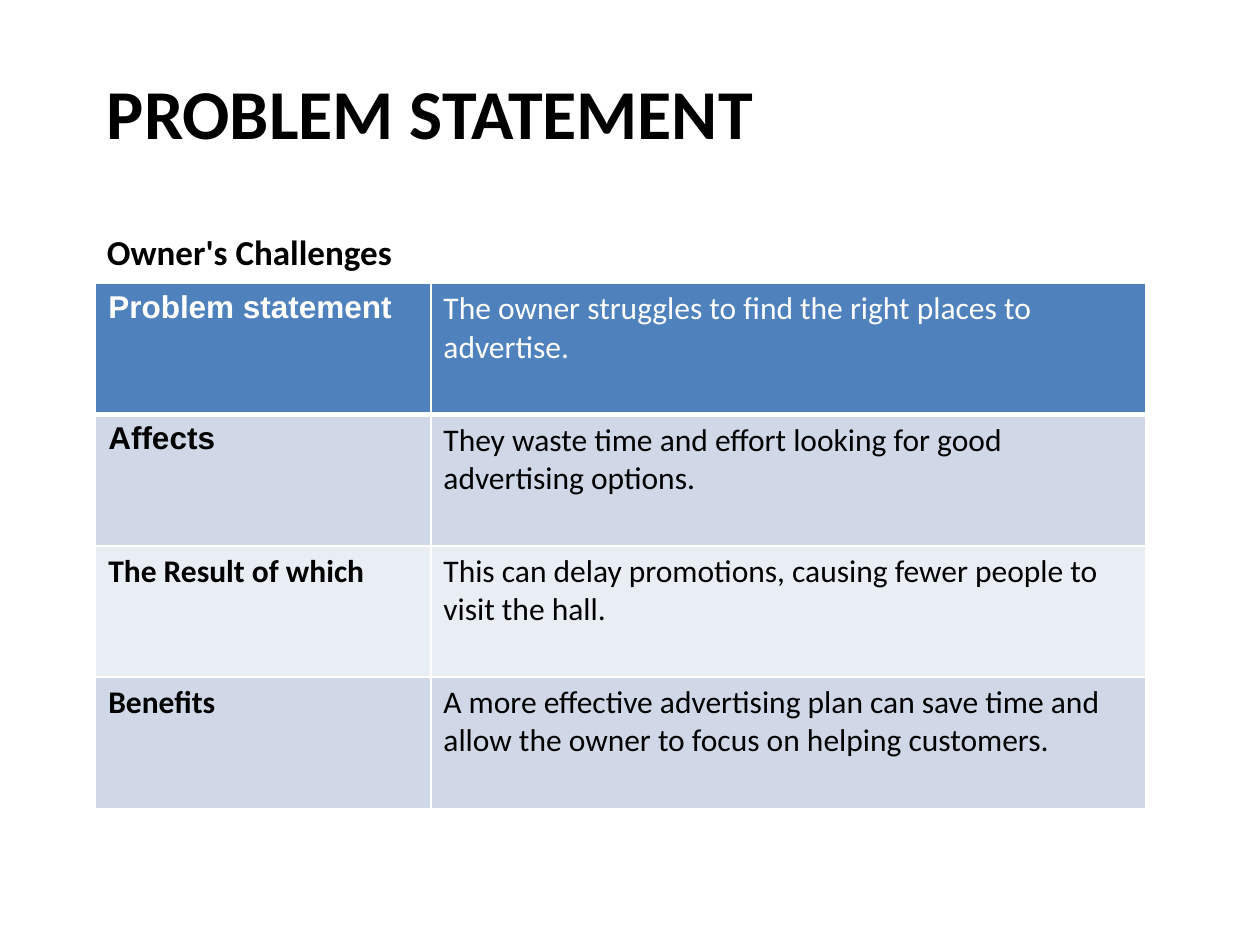
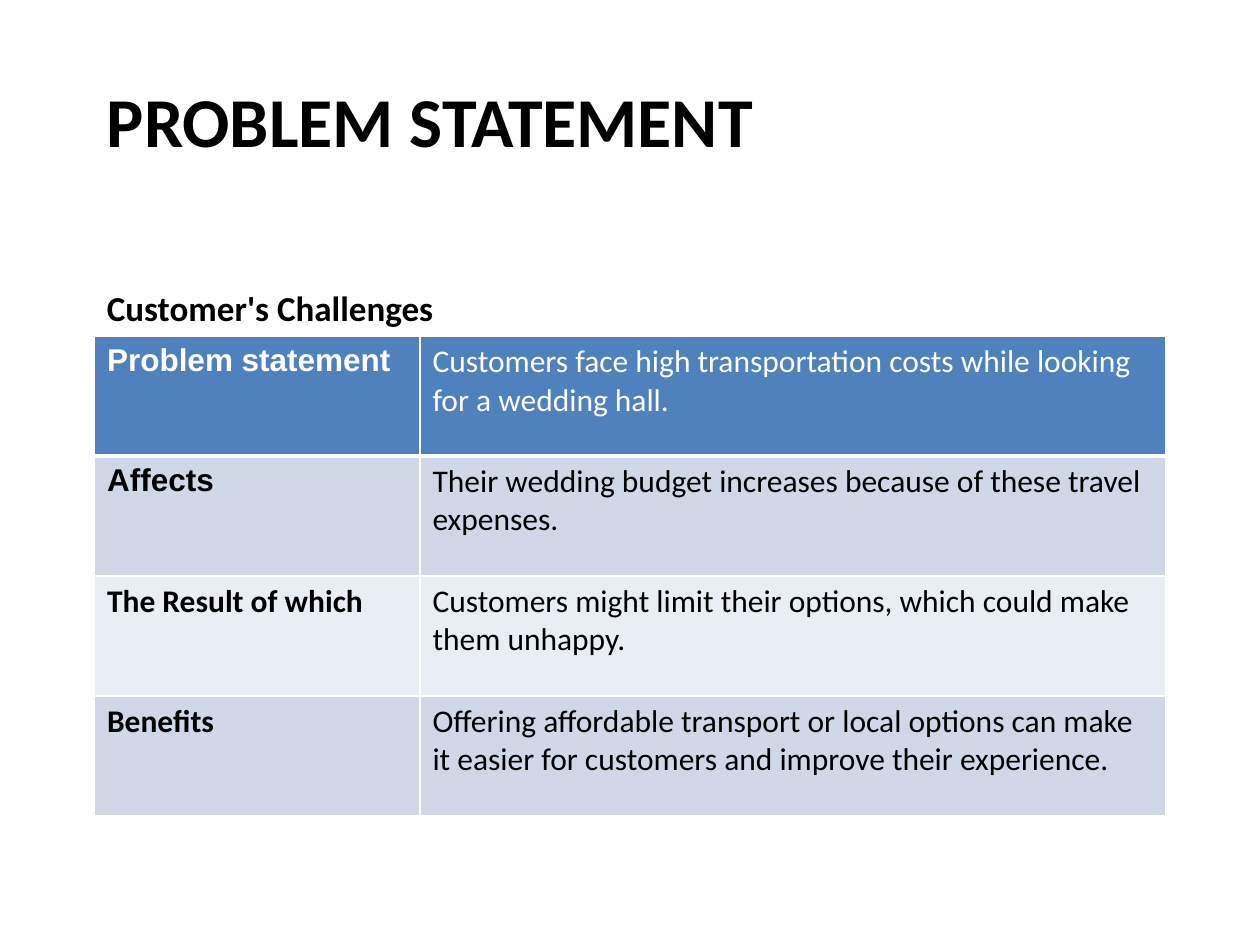
from lxml.etree import SubElement
from pptx import Presentation
from pptx.dml.color import RGBColor
from pptx.oxml.ns import qn
from pptx.util import Pt

# Shared look
BLACK, WHITE = "000000", "FFFFFF"
HEADER_FILL, BAND_FILLS = "4F81BD", ("D0D8E8", "E9EDF4")
HEADING_FONT, LABEL_FONT = "Calibri", "Arial"
LEFT, HEADING_WIDTH = 54, 612
THIN, THICK = 1, 3
LABELS = [
    ("Problem statement", LABEL_FONT),
    ("Affects", LABEL_FONT),
    ("The Result of which", HEADING_FONT),
    ("Benefits", HEADING_FONT),
]


def rgb(hex_color):
    return RGBColor.from_string(hex_color)


def add_run(paragraph, text, size, color=BLACK, font=HEADING_FONT, bold=False):
    run = paragraph.add_run()
    run.text = text
    run.font.name = font
    run.font.size = Pt(size)
    run.font.bold = bold
    run.font.color.rgb = rgb(color)


def add_heading(slide, text, top, height, size):
    heading = slide.shapes.add_textbox(Pt(LEFT), Pt(top), Pt(HEADING_WIDTH), Pt(height))
    heading.text_frame.word_wrap = True
    add_run(heading.text_frame.paragraphs[0], text, size, bold=True)


def set_borders(cell, top, bottom):
    properties = cell._tc.get_or_add_tcPr()
    widths = {"a:lnL": THIN, "a:lnR": THIN, "a:lnT": top, "a:lnB": bottom}
    for side, width in widths.items():
        line = SubElement(properties, qn(side), w=str(Pt(width)))
        SubElement(SubElement(line, qn("a:solidFill")), qn("a:srgbClr"), val=WHITE)


def add_challenge_table(slide, answers, left, top, column_widths, row_height):
    table = slide.shapes.add_table(
        len(LABELS), 2, Pt(left), Pt(top),
        Pt(sum(column_widths)), Pt(row_height * len(LABELS)),
    ).table
    for column, width in zip(table.columns, column_widths):
        column.width = Pt(width)

    for index, ((label, label_font), answer) in enumerate(zip(LABELS, answers)):
        table.rows[index].height = Pt(row_height)
        is_header = index == 0
        fill = HEADER_FILL if is_header else BAND_FILLS[(index - 1) % 2]
        color = WHITE if is_header else BLACK
        contents = [(label, label_font, True), (answer, HEADING_FONT, False)]
        for cell, (text, font, bold) in zip(table.rows[index].cells, contents):
            # Borders come before the fill in the cell properties
            set_borders(cell, THICK if index == 1 else THIN, THICK if is_header else THIN)
            cell.fill.solid()
            cell.fill.fore_color.rgb = rgb(fill)
            add_run(cell.text_frame.paragraphs[0], text, 18, color, font, bold)


def add_problem_slide(deck, audience, answers, title_top, subtitle_top, **table_layout):
    slide = deck.slides.add_slide(deck.slide_layouts[6])
    add_heading(slide, "PROBLEM STATEMENT", title_top, 107, 40)
    add_heading(slide, f"{audience}'s Challenges", subtitle_top, 32, 20)
    add_challenge_table(slide, answers, **table_layout)


def main():
    deck = Presentation()
    deck.slide_width, deck.slide_height = Pt(720), Pt(540)

    # Owner
    add_problem_slide(
        deck, "Owner",
        [
            "The owner struggles to find the right places to advertise.",
            "They waste time and effort looking for good advertising options.",
            "This can delay promotions, causing fewer people to visit the hall.",
            "A more effective advertising plan can save time and allow the owner "
            "to focus on helping customers.",
        ],
        title_top=36, subtitle_top=128.3,
        left=54.7, top=162, column_widths=(191.5, 408.3), row_height=75,
    )

    # Customer
    add_problem_slide(
        deck, "Customer",
        [
            "Customers face high transportation costs while looking for a wedding hall.",
            "Their wedding budget increases because of these travel expenses.",
            "Customers might limit their options, which could make them unhappy.",
            "Offering affordable transport or local options can make it easier "
            "for customers and improve their experience.",
        ],
        title_top=41, subtitle_top=160.3,
        left=54, top=192.2, column_widths=(186, 426), row_height=68.5,
    )

    deck.save("out.pptx")


if __name__ == "__main__":
    main()
